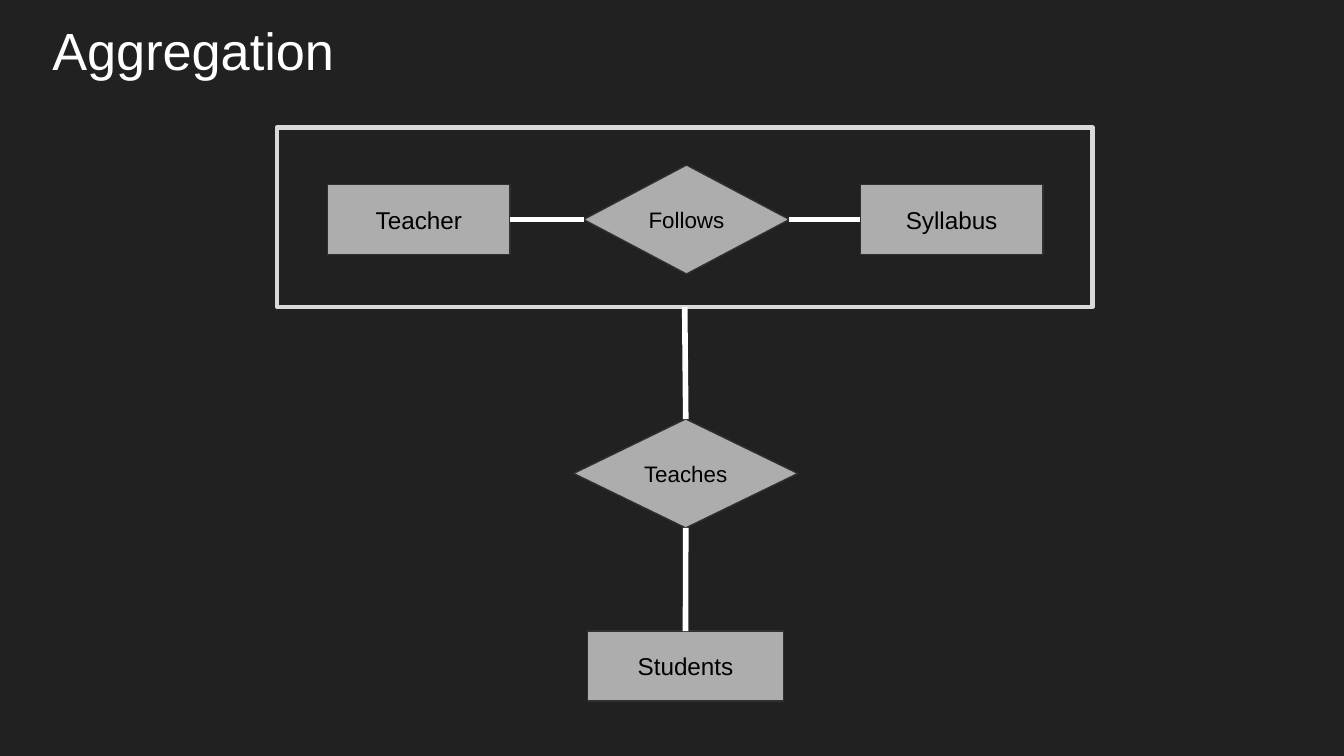
from lxml import etree
from pptx import Presentation
from pptx.dml.color import RGBColor
from pptx.enum.shapes import MSO_CONNECTOR, MSO_SHAPE
from pptx.enum.text import MSO_ANCHOR, MSO_AUTO_SIZE, PP_ALIGN
from pptx.oxml.ns import qn
from pptx.util import Cm, Pt

RECTANGLE = MSO_SHAPE.RECTANGLE
DECISION = MSO_SHAPE.FLOWCHART_DECISION
STRAIGHT = MSO_CONNECTOR.STRAIGHT
TOP, LEFT, BOTTOM, RIGHT = range(4)  # connection sites

COLORS = {
    "background": "212121",
    "title": "FFFFFF",
    "node": "ADADAD",
    "outline": "303030",
    "label": "000000",
    "frame": "D9D9D9",
    "link": "FFFFFF",
}
FRAME_FORMAT = {
    "margin_left": Cm(0.25),
    "margin_right": Cm(0.25),
    "margin_top": Cm(0.25),
    "margin_bottom": Cm(0.25),
    "word_wrap": True,
    "auto_size": MSO_AUTO_SIZE.NONE,
}


def color(name):
    return RGBColor.from_string(COLORS[name])


def write_text(shape, text, size, color_name, anchor, alignment):
    text_frame = shape.text_frame
    for name, value in FRAME_FORMAT.items():
        setattr(text_frame, name, value)
    text_frame.vertical_anchor = anchor
    paragraph = text_frame.paragraphs[0]
    paragraph.alignment = alignment
    run = paragraph.add_run()
    run.text = text
    for name, value in {"name": "Arial", "size": Pt(size)}.items():
        setattr(run.font, name, value)
    run.font.color.rgb = color(color_name)


presentation = Presentation()
presentation.slide_width = Cm(25.4)
presentation.slide_height = Cm(14.29)
slide = presentation.slides.add_slide(presentation.slide_layouts[5])
slide.background.fill.solid()
slide.background.fill.fore_color.rgb = color("background")

title = slide.shapes.title
title.left, title.top, title.width, title.height = Cm(0.74), Cm(0.1), Cm(23.67), Cm(1.6)
write_text(title, "Aggregation", 28, "title", MSO_ANCHOR.TOP, PP_ALIGN.LEFT)

# Frame around the aggregated relationship
frame = slide.shapes.add_shape(RECTANGLE, Cm(5.23), Cm(2.41), Cm(15.42), Cm(3.39))
frame.shadow.inherit = False
frame.fill.background()
frame.line.color.rgb = color("frame")
frame.line.width = Pt(2.25)

# Entities and relationships: label, shape, left, top, width, height, text size
nodes = {"Frame": frame}
for label, kind, left, top, width, height, size in [
    ("Teacher", RECTANGLE, 6.19, 3.49, 3.45, 1.32, 13),
    ("Follows", DECISION, 11.03, 3.12, 3.89, 2.06, 12),
    ("Syllabus", RECTANGLE, 16.26, 3.49, 3.45, 1.32, 13),
    ("Teaches", DECISION, 10.84, 7.92, 4.24, 2.06, 12),
    ("Students", RECTANGLE, 11.1, 11.93, 3.71, 1.32, 13),
]:
    node = slide.shapes.add_shape(kind, Cm(left), Cm(top), Cm(width), Cm(height))
    node.shadow.inherit = False
    node.fill.solid()
    node.fill.fore_color.rgb = color("node")
    node.line.color.rgb = color("outline")
    node.line.width = Pt(0.75)
    write_text(node, label, size, "label", MSO_ANCHOR.MIDDLE, PP_ALIGN.CENTER)
    nodes[label] = node

for start, start_site, end, end_site in [
    ("Teacher", RIGHT, "Follows", LEFT),
    ("Follows", RIGHT, "Syllabus", LEFT),
    ("Frame", BOTTOM, "Teaches", TOP),
    ("Teaches", BOTTOM, "Students", TOP),
]:
    link = slide.shapes.add_connector(STRAIGHT, 0, 0, 0, 0)
    link.begin_connect(nodes[start], start_site)
    link.end_connect(nodes[end], end_site)
    link.line.color.rgb = color("link")
    link.line.width = Pt(3)
    etree.SubElement(link._element.spPr, qn("a:effectLst"))

presentation.save("out.pptx")
